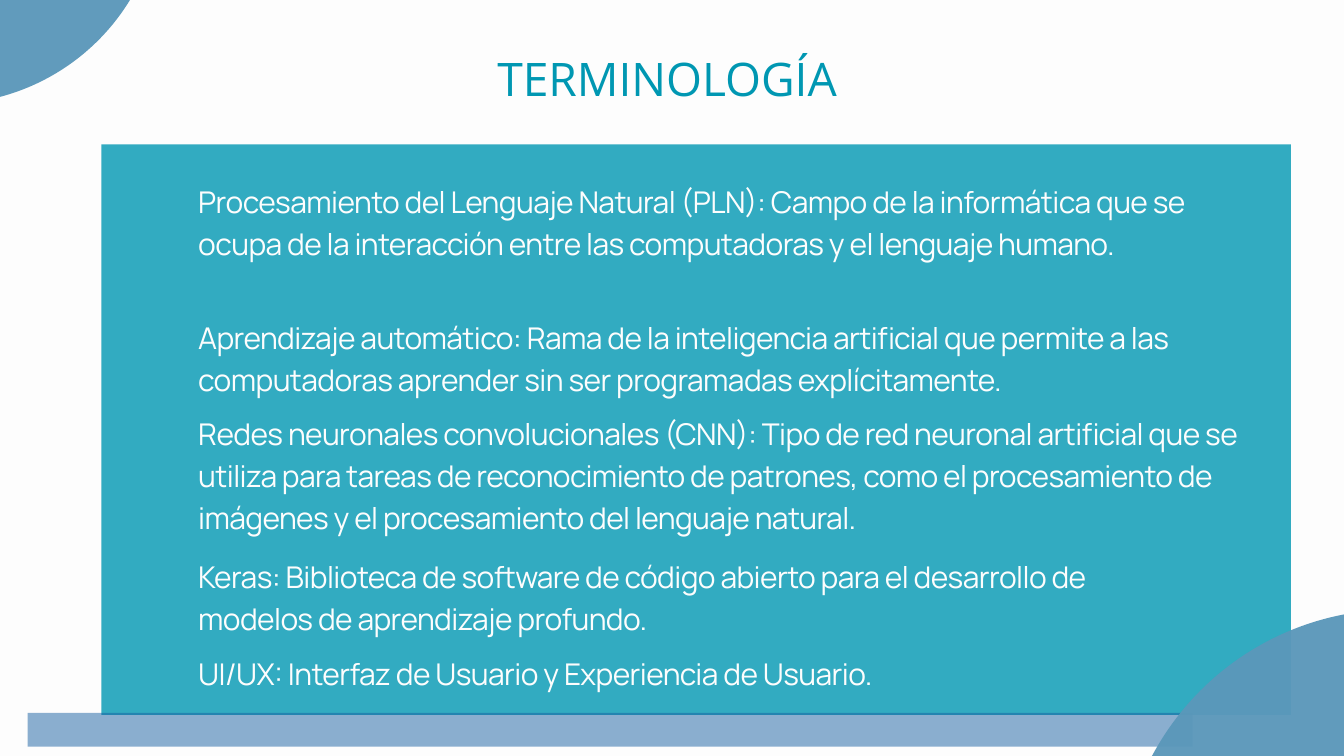
from dataclasses import dataclass

from lxml import etree
from pptx import Presentation
from pptx.dml.color import RGBColor
from pptx.enum.shapes import MSO_SHAPE
from pptx.enum.text import MSO_ANCHOR, MSO_AUTO_SIZE, PP_ALIGN
from pptx.oxml.ns import qn
from pptx.util import Inches, Pt

RECTANGLE = MSO_SHAPE.RECTANGLE
OVAL = MSO_SHAPE.OVAL
TOP = MSO_ANCHOR.TOP
LEFT = PP_ALIGN.LEFT
NO_AUTOFIT = MSO_AUTO_SIZE.NONE
TITLE_ONLY = 5


@dataclass(frozen=True)
class TextStyle:
    """Font, colour and spacing of one kind of text."""
    font: str
    size: float
    leading: float
    color: str
    tracking: float = 0


@dataclass(frozen=True)
class Theme:
    """Colours and text styles of the slide."""
    background: str = "FDFDFD"
    panel: str = "0097B2"
    bar: str = "145DA0"
    circle: str = "5B98BA"
    title: TextStyle = TextStyle("Open Sans", 49.5, 69.3, "0097B2")
    body: TextStyle = TextStyle("Manrope", 32.1, 44.9, "FDFDFD", -0.6)


THEME = Theme()
TEXT_LEFT = 2.95

DEFINITIONS = [
    (2.64, 15.25, 2, "Procesamiento del Lenguaje Natural (PLN): Campo de la informática que se "
     "ocupa de la interacción entre las computadoras y el lenguaje humano."),
    (4.67, 15.46, 2, "Aprendizaje automático: Rama de la inteligencia artificial que permite a las "
     "computadoras aprender sin ser programadas explícitamente."),
    (6.1, 15.92, 3, "Redes neuronales convolucionales (CNN): Tipo de red neuronal artificial que se "
     "utiliza para tareas de reconocimiento de patrones, como el procesamiento de "
     "imágenes y el procesamiento del lenguaje natural."),
    (8.23, 14.8, 2, "Keras: Biblioteca de software de código abierto para el desarrollo de "
     "modelos de aprendizaje profundo."),
    (9.66, 13.59, 1, "UI/UX: Interfaz de Usuario y Experiencia de Usuario."),
]


def add_tinted_shape(page, kind, left, top, width, height, color, opacity):
    """Add a borderless shape with a partly transparent fill."""
    shape = page.shapes.add_shape(kind, Inches(left), Inches(top), Inches(width), Inches(height))
    shape.shadow.inherit = False
    shape.line.fill.background()
    shape.fill.solid()
    shape.fill.fore_color.rgb = RGBColor.from_string(color)
    color_element = shape.fill._xPr.find(qn("a:solidFill"))[0]
    etree.SubElement(color_element, qn("a:alpha")).set("val", str(opacity * 1000))


def write_text(box, text, style):
    """Fill a box with one left-aligned paragraph in the given style."""
    frame = box.text_frame
    frame.text = text
    frame.word_wrap = True
    frame.auto_size = NO_AUTOFIT
    frame.vertical_anchor = TOP
    frame.margin_left = frame.margin_right = frame.margin_top = frame.margin_bottom = 0
    para = frame.paragraphs[0]
    para.alignment = LEFT
    para.line_spacing = Pt(style.leading)
    span = para.runs[0]
    span.font.name = style.font
    span.font.size = Pt(style.size)
    span.font.color.rgb = RGBColor.from_string(style.color)
    if style.tracking:
        span._r.get_or_add_rPr().set("spc", str(round(style.tracking * 100)))


def place_title(page, text):
    """Move the title placeholder into position and write the heading."""
    title = page.shapes.title
    title.left, title.top = Inches(7.4), Inches(0.61)
    title.width, title.height = Inches(6.58), Inches(0.93)
    write_text(title, text, THEME.title)


def add_definition(page, top, width, lines, text):
    """Add one definition in a box as tall as its lines."""
    height = Pt(lines * THEME.body.leading)
    box = page.shapes.add_textbox(Inches(TEXT_LEFT), Inches(top), Inches(width), height)
    write_text(box, text, THEME.body)


def main():
    """Build the terminology slide and save it."""
    deck = Presentation()
    deck.slide_width, deck.slide_height = Inches(20), Inches(11.25)
    page = deck.slides.add_slide(deck.slide_layouts[TITLE_ONLY])
    page.background.fill.solid()
    page.background.fill.fore_color.rgb = RGBColor.from_string(THEME.background)
    add_tinted_shape(page, RECTANGLE, 1.51, 2.15, 17.7, 8.49, THEME.panel, 80)
    add_tinted_shape(page, RECTANGLE, 0.41, 10.61, 17.34, 0.5, THEME.bar, 49)
    add_tinted_shape(page, OVAL, 16.66, 9.07, 8.23, 8.23, THEME.circle, 96)
    add_tinted_shape(page, OVAL, -4.07, -4.93, 6.48, 6.48, THEME.circle, 96)
    place_title(page, "TERMINOLOGÍA")
    for definition in DEFINITIONS:
        add_definition(page, *definition)
    deck.save("out.pptx")


if __name__ == "__main__":
    main()
